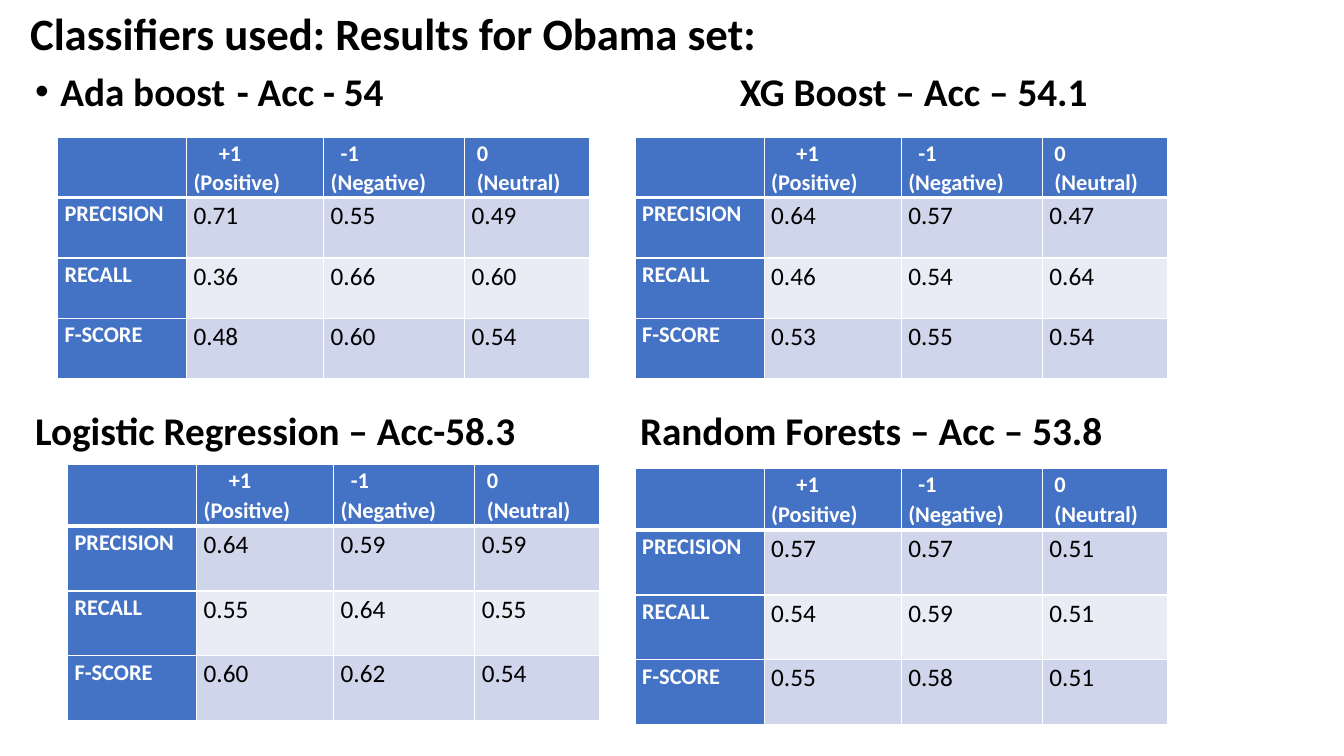
"""Build a slide comparing four classifiers by precision, recall and F-score."""
from dataclasses import dataclass

from lxml import etree
from pptx import Presentation
from pptx.dml.color import RGBColor
from pptx.enum.text import MSO_ANCHOR
from pptx.oxml.ns import qn
from pptx.util import Inches, Pt

MIDDLE, TOP = MSO_ANCHOR.MIDDLE, MSO_ANCHOR.TOP
BLACK = RGBColor(0x00, 0x00, 0x00)
WHITE = RGBColor(0xFF, 0xFF, 0xFF)
BLUE = RGBColor(0x44, 0x72, 0xC4)
BAND_DARK = RGBColor(0xCF, 0xD5, 0xEA)
BAND_LIGHT = RGBColor(0xE9, 0xEB, 0xF5)
FONT = "Calibri"
SLIDE_WIDTH, SLIDE_HEIGHT = Inches(13.33), Inches(7.5)

COLUMN_SHARES = (9.6, 10.2, 10.5, 9.3)
METRICS = ("PRECISION", "RECALL", "F-SCORE")


@dataclass(frozen=True)
class ClassHeader:
    """Column heading with its indents in inches."""
    text: str
    margin: float
    indent: float


@dataclass(frozen=True)
class Classifier:
    """Heading and score table, placed in percent of the slide."""
    heading: str
    heading_at: tuple[float, float]
    table_at: tuple[float, float]
    row_shares: tuple[float, float]
    scores: tuple[tuple[str, str, str], ...]
    bulleted: bool = False


HEADERS = (
    ClassHeader("+1\v(Positive)", 0, 0.25),
    ClassHeader("-1\v(Negative)", 0, 0.1),
    ClassHeader("0\v(Neutral)", 0.05, 0),
)
EVEN_ROWS, TALL_ROWS = (8.0, 8.0), (8.13, 8.58)
CLASSIFIERS = (
    Classifier("Ada boost\t- Acc - 54", (1.88, 8.93), (4.28, 18.13), EVEN_ROWS,
               (("0.71", "0.55", "0.49"), ("0.36", "0.66", "0.60"),
                ("0.48", "0.60", "0.54")), bulleted=True),
    Classifier("XG Boost – Acc – 54.1", (54.31, 8.93), (47.26, 18.13), EVEN_ROWS,
               (("0.64", "0.57", "0.47"), ("0.46", "0.54", "0.64"),
                ("0.53", "0.55", "0.54"))),
    Classifier("Logistic Regression – Acc-58.3", (1.88, 53.73), (5.03, 61.47), TALL_ROWS,
               (("0.64", "0.59", "0.59"), ("0.55", "0.64", "0.55"),
                ("0.60", "0.62", "0.54"))),
    Classifier("Random Forests – Acc – 53.8", (46.89, 53.73), (47.26, 62.0), TALL_ROWS,
               (("0.57", "0.57", "0.51"), ("0.54", "0.59", "0.51"),
                ("0.55", "0.58", "0.51"))),
)


def across(share: float) -> int:
    """Turn a percentage of the slide's width into a length."""
    return round(SLIDE_WIDTH * share / 100)


def down(share: float) -> int:
    """Turn a percentage of the slide's height into a length."""
    return round(SLIDE_HEIGHT * share / 100)


def write(frame, text: str, *, size: float, color: RGBColor = BLACK, bold: bool = True,
          spacing: float = 0.9, after: float = 0, margin: float = 0,
          indent: float = 0, bullet: str = "") -> None:
    """Fill a text frame with one formatted paragraph."""
    frame.word_wrap = True
    para = frame.paragraphs[0]
    para.text = text
    para.line_spacing, para.space_after = spacing, Pt(after)
    properties = para._p.get_or_add_pPr()
    properties.set("marL", str(Inches(margin)))
    properties.set("indent", str(Inches(indent)))
    if bullet:
        etree.SubElement(properties, qn("a:buFont")).set("typeface", "Arial")
        etree.SubElement(properties, qn("a:buChar")).set("char", bullet)
    for span in para.runs:
        span.font.name, span.font.size = FONT, Pt(size)
        span.font.bold, span.font.color.rgb = bold, color


def add_heading(page, text: str, at: tuple[float, float], width: float, *,
                anchor=TOP, **text_format) -> None:
    """Add a text box with a bold heading."""
    box = page.shapes.add_textbox(across(at[0]), down(at[1]), across(width), down(7.33))
    box.text_frame.vertical_anchor = anchor
    write(box.text_frame, text, **text_format)


def set_borders(cell, bottom: float) -> None:
    """Draw white borders round a cell, with the given bottom width."""
    properties = cell._tc.get_or_add_tcPr()
    widths = {"a:lnL": 1, "a:lnR": 1, "a:lnT": 1, "a:lnB": bottom}
    for place, (tag, width) in enumerate(widths.items()):
        line = etree.Element(qn(tag), w=str(Pt(width)))
        fill = etree.SubElement(line, qn("a:solidFill"))
        etree.SubElement(fill, qn("a:srgbClr")).set("val", str(WHITE))
        properties.insert(place, line)


def fill_cell(cell, text: str, fill: RGBColor, *, bottom: float = 1, **text_format) -> None:
    """Set a cell's text, fill, margins and borders."""
    cell.margin_left = cell.margin_right = Inches(0.07)
    cell.margin_top, cell.margin_bottom = Inches(0.01), 0
    cell.fill.solid()
    cell.fill.fore_color.rgb = fill
    set_borders(cell, bottom)
    if text:
        write(cell.text_frame, text, spacing=1.07, after=8, **text_format)


def add_scores(page, classifier: Classifier) -> None:
    """Add the score table of one classifier."""
    header_share, body_share = classifier.row_shares
    row_shares = (header_share,) + (body_share,) * len(METRICS)
    left, top = classifier.table_at
    table = page.shapes.add_table(
        len(row_shares), len(COLUMN_SHARES), across(left), down(top),
        across(sum(COLUMN_SHARES)), down(sum(row_shares))).table
    table.first_col = True
    for column, share in zip(table.columns, COLUMN_SHARES):
        column.width = across(share)
    for row, share in zip(table.rows, row_shares):
        row.height = down(share)
    fill_cell(table.cell(0, 0), "", BLUE, bottom=3)
    for column, header in enumerate(HEADERS, 1):
        fill_cell(table.cell(0, column), header.text, BLUE, bottom=3, size=16, color=WHITE,
                  margin=header.margin, indent=header.indent)
    for row, (metric, scores) in enumerate(zip(METRICS, classifier.scores), 1):
        fill_cell(table.cell(row, 0), metric, BLUE, size=16, color=WHITE)
        band = BAND_DARK if row % 2 else BAND_LIGHT
        for column, score in enumerate(scores, 1):
            fill_cell(table.cell(row, column), score, band, size=18, bold=False)


def main() -> None:
    """Build and save the deck."""
    deck = Presentation()
    deck.slide_width, deck.slide_height = SLIDE_WIDTH, SLIDE_HEIGHT
    page = deck.slides.add_slide(deck.slide_layouts[6])
    add_heading(page, "Classifiers used: Results for Obama set:", (1.5, 1.07), 90,
                anchor=MIDDLE, size=32)
    for classifier in CLASSIFIERS:
        hanging = 0.25 if classifier.bulleted else 0
        add_heading(page, classifier.heading, classifier.heading_at, 42, size=28,
                    margin=hanging, indent=-hanging,
                    bullet="•" if classifier.bulleted else "")
        add_scores(page, classifier)
    deck.save("out.pptx")


main()
